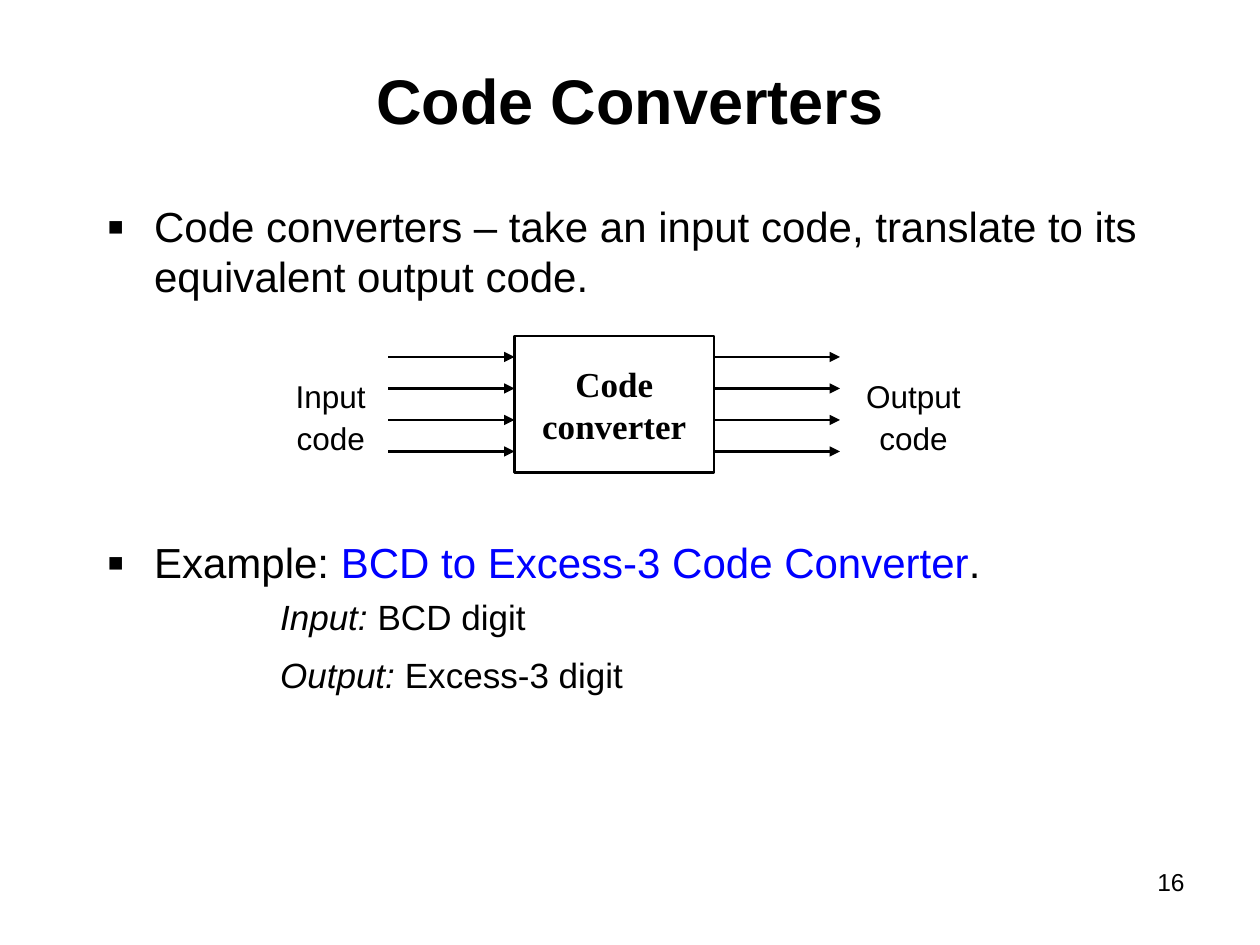
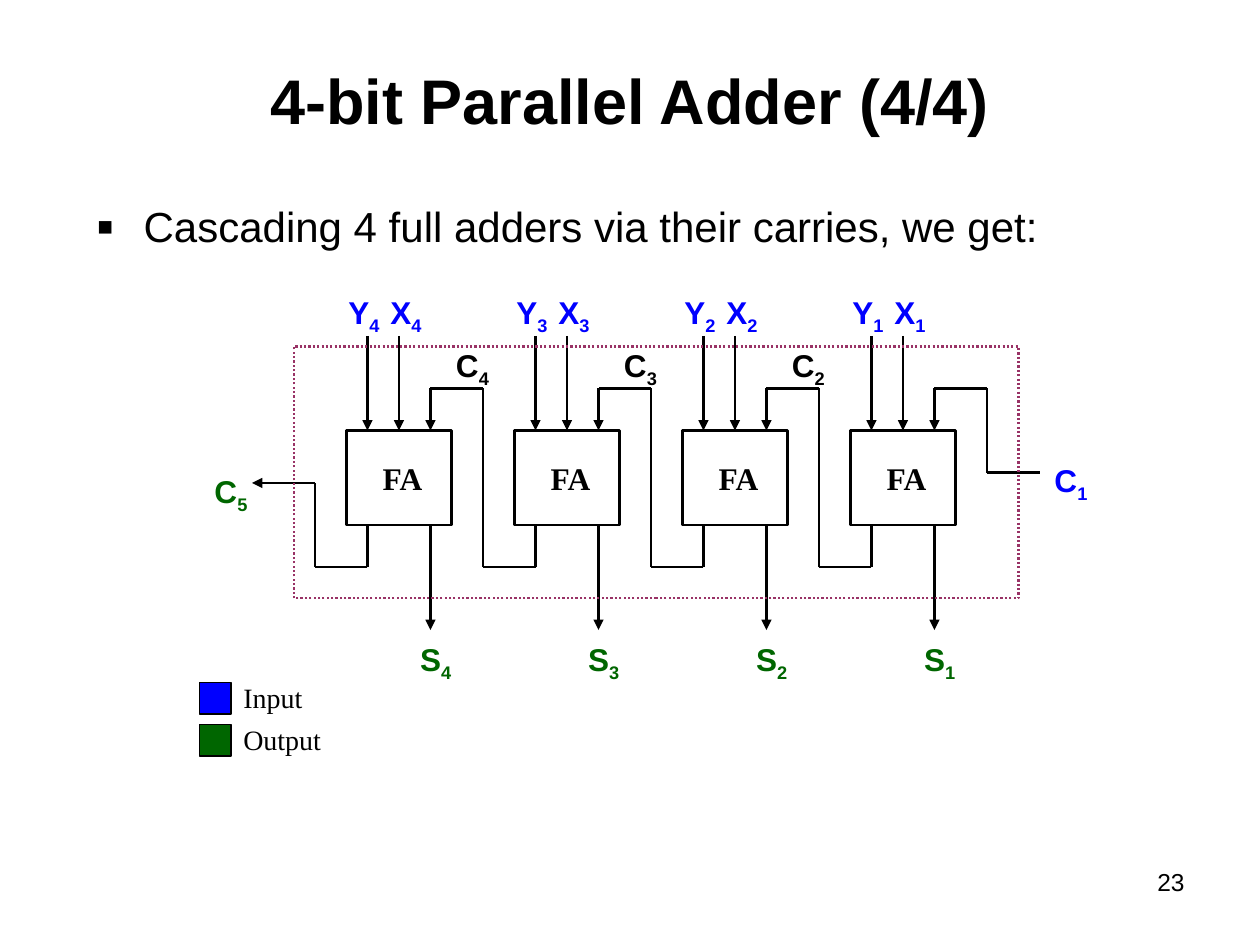
from dataclasses import dataclass

import lxml.etree
import pptx
import pptx.dml.color
import pptx.enum.dml
import pptx.enum.shapes
import pptx.enum.text
import pptx.oxml.ns
import pptx.util

Pt = pptx.util.Pt
qn = pptx.oxml.ns.qn
ALIGN = pptx.enum.text.PP_ALIGN
MIDDLE = pptx.enum.text.MSO_ANCHOR.MIDDLE


@dataclass(frozen=True)
class Theme:
    sans: str = "Arial"
    serif: str = "Times New Roman"
    ink: str = "000000"
    input: str = "0000FF"
    output: str = "006600"
    boundary: str = "993366"
    title: int = 36
    bullet: int = 24
    detail: int = 20
    label: int = 18
    legend: int = 16
    number: int = 14
    box_line: float = 1.5
    wire_line: float = 1.25
    swatch_line: float = 0.75


THEME = Theme()

CONVERTERS = {
    "title": "Code Converters",
    "number": "16",
    "definition": "Code converters – take an input code, translate to its equivalent output code.",
    "block": ["Code", "converter"],
    "sides": [(["Input", "code"], 156, 66, 222, 294), (["Output", "code"], 486, 72, 408, 480)],
    "example": [("Example: ", THEME.ink), ("BCD to Excess-3 Code Converter", THEME.input), (".", THEME.ink)],
    "details": [("Input:", " BCD digit", 5), ("Output:", " Excess-3 digit", 9)],
}
ADDER = {
    "title": "4-bit Parallel Adder (4/4)",
    "number": "23",
    "summary": "Cascading 4 full adders via their carries, we get:",
    "block": "FA",
    "bits": [4, 3, 2, 1],
    "legend": [("Input", THEME.input), ("Output", THEME.output)],
}


def rgb(value):
    return pptx.dml.color.RGBColor.from_string(value)


def write(paragraph, text, size, color=THEME.ink, font=THEME.sans, bold=False, italic=False, subscript=False):
    run = paragraph.add_run()
    run.text = text
    run.font.size = Pt(size)
    run.font.name = font
    run.font.color.rgb = rgb(color)
    run.font.bold = bold
    run.font.italic = italic
    if subscript:
        run.font._element.set("baseline", "-25000")


def add_text(slide, left, top, width, height):
    frame = slide.shapes.add_textbox(Pt(left), Pt(top), Pt(width), Pt(height)).text_frame
    frame.word_wrap = True
    return frame


def write_lines(frame, lines, size, font=THEME.sans, bold=False, gap=0):
    for index, line in enumerate(lines):
        paragraph = frame.add_paragraph() if index else frame.paragraphs[0]
        paragraph.alignment = ALIGN.CENTER
        if index:
            paragraph.space_before = Pt(gap)
        write(paragraph, line, size, font=font, bold=bold)


def indent(paragraph, left, first=0):
    properties = paragraph._p.get_or_add_pPr()
    properties.set("marL", str(int(Pt(left))))
    properties.set("indent", str(int(Pt(first))))
    return properties


def add_bullet(slide, left, top, width, height, parts):
    frame = add_text(slide, left, top, width, height)
    paragraph = frame.paragraphs[0]
    properties = indent(paragraph, 27, -27)
    color = lxml.etree.SubElement(properties, qn("a:buClr"))
    lxml.etree.SubElement(color, qn("a:srgbClr"), val=THEME.ink)
    lxml.etree.SubElement(properties, qn("a:buSzPct"), val="120000")
    lxml.etree.SubElement(properties, qn("a:buFont"), typeface=THEME.sans)
    lxml.etree.SubElement(properties, qn("a:buChar"), char="▪")
    for text, ink in parts:
        write(paragraph, text, THEME.bullet, ink)
    return frame


def add_box(slide, left, top, width, height, weight, line=THEME.ink, fill=None):
    box = slide.shapes.add_shape(
        pptx.enum.shapes.MSO_SHAPE.RECTANGLE, Pt(left), Pt(top), Pt(width), Pt(height))
    box.shadow.inherit = False
    if fill:
        box.fill.solid()
        box.fill.fore_color.rgb = rgb(fill)
    else:
        box.fill.background()
    box.line.color.rgb = rgb(line)
    box.line.width = Pt(weight)
    box.text_frame.vertical_anchor = MIDDLE
    return box


def add_wire(slide, points, arrow=True):
    for index, (start, end) in enumerate(zip(points, points[1:])):
        wire = slide.shapes.add_connector(
            pptx.enum.shapes.MSO_CONNECTOR.STRAIGHT, *(Pt(value) for value in (*start, *end)))
        wire.line.color.rgb = rgb(THEME.ink)
        wire.line.width = Pt(THEME.wire_line)
        properties = wire._element.spPr
        if arrow and index == len(points) - 2:
            lxml.etree.SubElement(properties.find(qn("a:ln")), qn("a:tailEnd"), type="triangle")
        lxml.etree.SubElement(properties, qn("a:effectLst"))
    return wire


def add_signal(slide, left, top, letter, bit, color):
    paragraph = add_text(slide, left, top, 36, 32).paragraphs[0]
    paragraph.alignment = ALIGN.CENTER
    write(paragraph, letter, THEME.label, color, bold=True)
    write(paragraph, str(bit), THEME.label, color, bold=True, subscript=True)


def start_slide(deck, content):
    slide = deck.slides.add_slide(deck.slide_layouts[5])
    title = slide.shapes.title
    title.left, title.top, title.width, title.height = Pt(54), Pt(12), Pt(612), Pt(90)
    title.text_frame.vertical_anchor = MIDDLE
    heading = title.text_frame.paragraphs[0]
    heading.alignment = ALIGN.CENTER
    write(heading, content["title"], THEME.title, bold=True)
    number = add_text(slide, 516, 492, 168, 37).paragraphs[0]
    number.alignment = ALIGN.RIGHT
    write(number, content["number"], THEME.number)
    return slide


def build_converters(deck):
    slide = start_slide(deck, CONVERTERS)
    add_bullet(slide, 54, 111, 612, 72, [(CONVERTERS["definition"], THEME.ink)])

    converter = add_box(slide, 294, 192, 114, 78, THEME.box_line)
    write_lines(converter.text_frame, CONVERTERS["block"], THEME.detail, THEME.serif, bold=True)
    for lines, left, width, start, end in CONVERTERS["sides"]:
        write_lines(add_text(slide, left, 212, width, 52), lines, THEME.label, gap=2.2)
        for wire in range(4):
            y = 204 + 18 * wire
            add_wire(slide, [(start, y), (end, y)])

    example = add_bullet(slide, 54, 303, 606, 108, CONVERTERS["example"])
    for name, value, gap in CONVERTERS["details"]:
        detail = example.add_paragraph()
        indent(detail, 99)
        detail.space_before = Pt(gap)
        write(detail, name, THEME.detail, italic=True)
        write(detail, value, THEME.detail)


def build_adder(deck):
    slide = start_slide(deck, ADDER)
    add_bullet(slide, 48, 111, 612, 36, [(ADDER["summary"], THEME.ink)])

    first, pitch, width, top, height = 198, 96, 60, 246, 54
    bottom, carry_top, carry_bottom = top + height, 222, 324
    for index, bit in enumerate(ADDER["bits"]):
        left = first + pitch * index
        y_in, x_in, carry_in = left + 12, left + 30, left + 48
        carry_out, sum_out, riser = y_in, carry_in, left - 18

        adder = add_box(slide, left, top, width, height, THEME.box_line)
        adder.text_frame.margin_left = Pt(11)
        adder.text_frame.margin_right = Pt(7)
        write_lines(adder.text_frame, [ADDER["block"]], THEME.label, THEME.serif, bold=True)

        add_signal(slide, left - 8, 164, "Y", bit, THEME.input)
        add_signal(slide, left + 16, 164, "X", bit, THEME.input)
        add_signal(slide, left + 33, 362, "S", bit, THEME.output)
        add_wire(slide, [(y_in, 192), (y_in, top)])
        add_wire(slide, [(x_in, 192), (x_in, top)]).end_connect(adder, 0)
        add_wire(slide, [(sum_out, bottom), (sum_out, 360)])

        carry = [(carry_out, bottom), (carry_out, carry_bottom), (riser, carry_bottom)]
        if index == 0:
            add_wire(slide, carry + [(riser, 276), (144, 276)])
        else:
            target = carry_in - pitch
            add_wire(slide, carry + [(riser, carry_top), (target, carry_top), (target, top)])
            add_signal(slide, left - 42, 194, "C", bit + 1, THEME.ink)

    entry = left + 78
    add_wire(slide, [(594, 270), (entry, 270), (entry, carry_top), (carry_in, carry_top), (carry_in, top)])
    add_signal(slide, 594, 260, "C", 1, THEME.input)
    add_signal(slide, 114, 266, "C", 5, THEME.output)

    boundary = add_box(slide, 168, 198, 414, 144, THEME.wire_line, THEME.boundary)
    boundary.line.dash_style = pptx.enum.dml.MSO_LINE.ROUND_DOT

    for index, (name, color) in enumerate(ADDER["legend"]):
        y = 390 + 24 * index
        add_box(slide, 114, y, 18, 18, THEME.swatch_line, fill=color)
        entry_name = add_text(slide, 132, y - 4.5, 72, 27).paragraphs[0]
        write(entry_name, name, THEME.legend, font=THEME.serif)


def main():
    deck = pptx.Presentation()
    deck.slide_width, deck.slide_height = Pt(720), Pt(540)
    build_converters(deck)
    build_adder(deck)
    deck.save("out.pptx")


if __name__ == "__main__":
    main()
